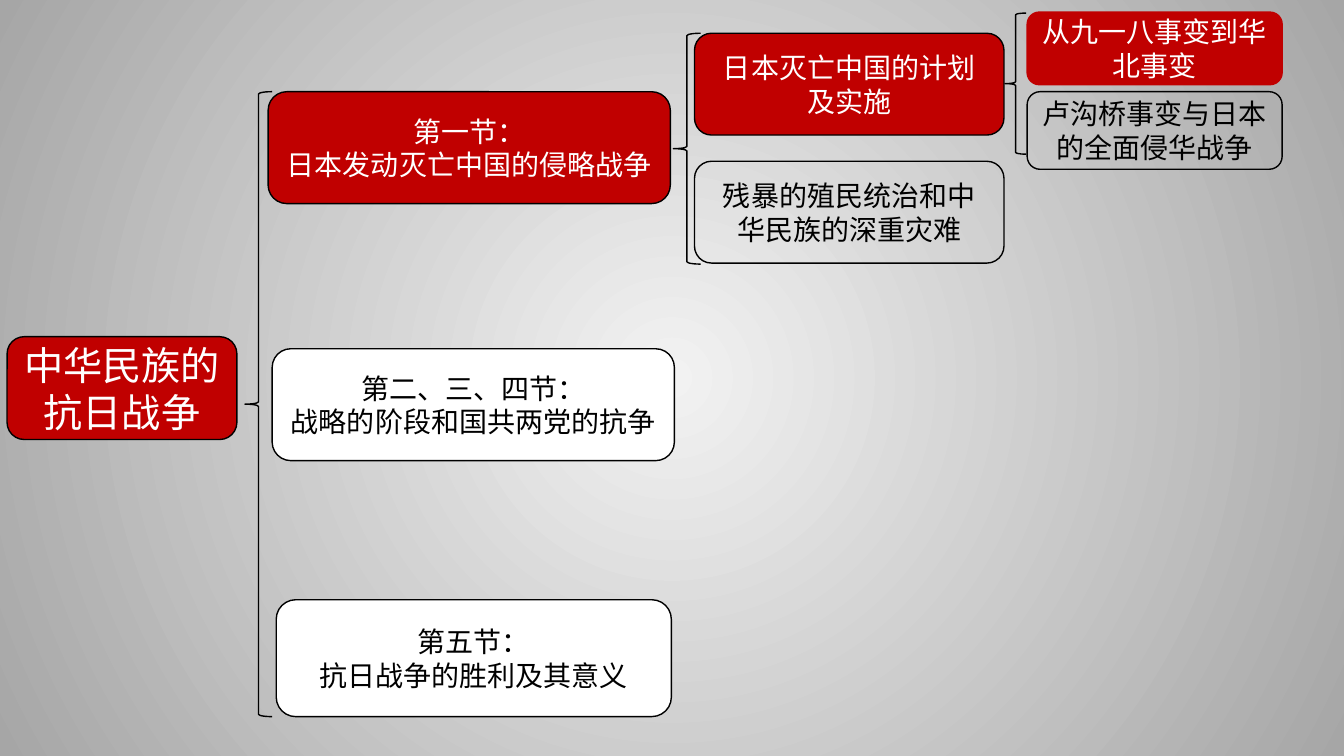
import pptx
import pptx.dml.color
import pptx.enum.shapes
import pptx.enum.text
import pptx.oxml
import pptx.oxml.ns
import pptx.util

RED = pptx.dml.color.RGBColor(0xC0, 0x00, 0x00)
BLACK = pptx.dml.color.RGBColor(0x00, 0x00, 0x00)
WHITE = pptx.dml.color.RGBColor(0xFF, 0xFF, 0xFF)
LIGHT = pptx.dml.color.RGBColor(0xF2, 0xF2, 0xF2)
GREY = pptx.dml.color.RGBColor(0xA6, 0xA6, 0xA6)

FONT = "Noto Sans CJK SC"
SHAPE = pptx.enum.shapes.MSO_SHAPE
COLS, ROWS = 133.33, 75  # grid of the slide, ten cells to the inch


def cells(n):
    return pptx.util.Inches(n / 10)


def add_background(s):
    """Radial gradient, light in the centre."""
    fill = s.background.fill
    fill.gradient()
    for stop, color in zip(fill.gradient_stops, (LIGHT, GREY)):
        stop.color.rgb = color
    grad = s.background._cSld.find(".//" + pptx.oxml.ns.qn("a:gradFill"))
    grad.replace(grad.find(pptx.oxml.ns.qn("a:lin")), pptx.oxml.parse_xml(
        f'<a:path {pptx.oxml.ns.nsdecls("a")} path="circle">'
        '<a:fillToRect l="50000" t="50000" r="50000" b="50000"/></a:path>'))


def add_outline(s, kind, box, fill=None, line=BLACK):
    sp = s.shapes.add_shape(kind, *map(cells, box))
    sp.shadow.inherit = False
    if fill is None:
        sp.fill.background()
    else:
        sp.fill.solid()
        sp.fill.fore_color.rgb = fill
    sp.line.color.rgb = line
    sp.line.width = pptx.util.Pt(1)
    return sp


def add_topic(s, box, text, fill=None, line=BLACK, size=20):
    """Rounded box with centred text, white on red and black elsewhere."""
    tf = add_outline(s, SHAPE.ROUNDED_RECTANGLE, box, fill, line).text_frame
    tf.word_wrap = True
    tf.vertical_anchor = pptx.enum.text.MSO_ANCHOR.MIDDLE
    tf.text = text
    for p in tf.paragraphs:
        p.alignment = pptx.enum.text.PP_ALIGN.CENTER
        for r in p.runs:
            r.font.size = pptx.util.Pt(size)
            r.font.name = FONT
            r.font.color.rgb = WHITE if fill == RED else BLACK
            ea = pptx.oxml.parse_xml(
                f'<a:ea {pptx.oxml.ns.nsdecls("a")} typeface="{FONT}"/>')
            r.font._element.find(pptx.oxml.ns.qn("a:latin")).addnext(ea)


def add_branch(s, brace, topics):
    """Brace, then its topics, offset from the brace's top left corner."""
    left, top = brace[:2]
    add_outline(s, SHAPE.LEFT_BRACE, brace)
    for (dx, dy, width, height), *content in topics:
        add_topic(s, (left + dx, top + dy, width, height), *content)


def main():
    prs = pptx.Presentation()
    prs.slide_width, prs.slide_height = cells(COLS), cells(ROWS)
    s = prs.slides.add_slide(prs.slide_layouts[6])
    add_background(s)

    # Chapter
    add_topic(s, (0.7, 33.4, 22.8, 10.2), "中华民族的抗日战争", RED, size=28)

    # Sections
    add_branch(s, (24.3, 9.1, 2.7, 62), [
        ((2.3, 0, 39.9, 11.1), "第一节：\n日本发动灭亡中国的侵略战争", RED),
        ((2.7, 25.5, 39.9, 11.1), "第二、三、四节：\n战略的阶段和国共两党的抗争", WHITE),
        ((3.1, 50.4, 39.2, 11.6), "第五节：\n抗日战争的胜利及其意义", WHITE),
    ])

    # Parts of the first section
    add_branch(s, (66.8, 3.3, 2.7, 22.9), [
        ((2.1, 0, 30.7, 10.1), "日本灭亡中国的计划及实施", RED),
        ((2.1, 12.7, 30.7, 10.1), "残暴的殖民统治和中华民族的深重灾难"),
    ])

    # Events of the first part
    add_branch(s, (99.7, 1.3, 2.1, 14), [
        ((2.2, -0.1, 25.3, 7.2), "从九一八事变到华北事变", RED, RED),
        ((2.2, 7.8, 25.3, 7.7), "卢沟桥事变与日本的全面侵华战争"),
    ])

    prs.save("out.pptx")


if __name__ == "__main__":
    main()
